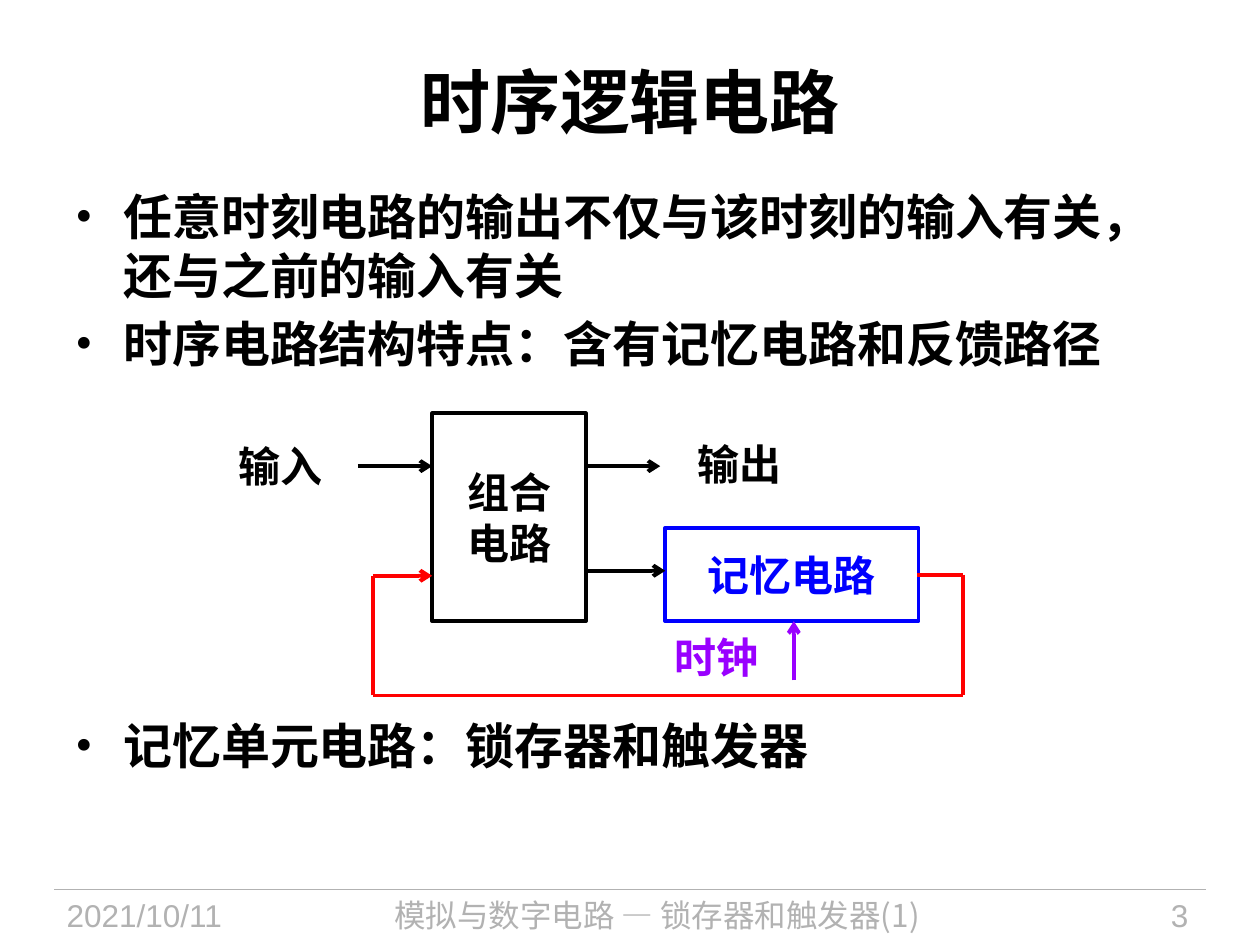
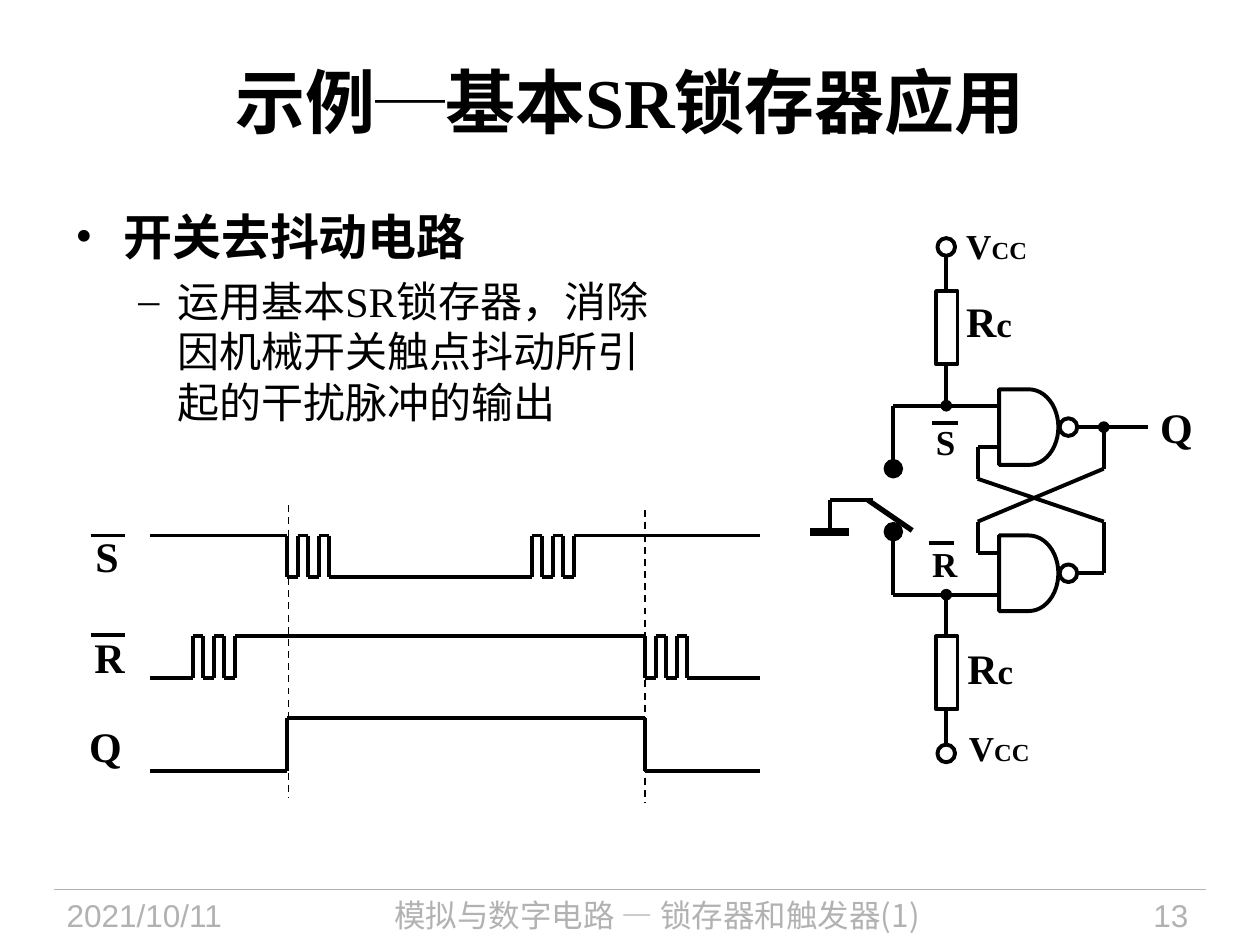
from dataclasses import dataclass
from itertools import pairwise
from typing import Any

from lxml.etree import SubElement
from pptx import Presentation
from pptx.dml.color import RGBColor
from pptx.enum.dml import MSO_LINE
from pptx.enum.shapes import MSO_CONNECTOR, MSO_SHAPE
from pptx.enum.text import MSO_ANCHOR, PP_ALIGN
from pptx.oxml.ns import qn
from pptx.util import Inches, Pt

BLACK = RGBColor(0, 0, 0)
WHITE = RGBColor(255, 255, 255)
GREY = RGBColor(0xB2, 0xB2, 0xB2)
BLUE = RGBColor(0, 0, 255)
RED = RGBColor(255, 0, 0)
PURPLE = RGBColor(0x99, 0, 255)
SERIF, SANS, CJK = "Times New Roman", "Arial", "Noto Sans CJK SC"
LEFT, CENTER, RIGHT = PP_ALIGN.LEFT, PP_ALIGN.CENTER, PP_ALIGN.RIGHT
TOP, MIDDLE = MSO_ANCHOR.TOP, MSO_ANCHOR.MIDDLE


def add_run(p, text, size, font=SERIF, color=BLACK, bold=True):
    r = p.add_run()
    r.text = text
    r.font.size = Pt(size)
    r.font.name = font
    r.font.bold = bold
    r.font.color.rgb = color
    SubElement(r.font._element, qn("a:ea"), typeface=CJK)


def set_frame(tf, anchor=TOP, wrap=True, inset=True):
    tf.word_wrap = wrap
    tf.vertical_anchor = anchor
    if not inset:
        tf.margin_left = tf.margin_right = tf.margin_top = tf.margin_bottom = 0


@dataclass
class Box:
    s: Any
    x: float
    y: float

    def wire(self, *points, color=BLACK, width=2.25, dash=False, head=None, tail=None, size="med"):
        segments = list(pairwise(points))
        for i, ((x1, y1), (x2, y2)) in enumerate(segments):
            c = self.s.shapes.add_connector(
                MSO_CONNECTOR.STRAIGHT, Inches(self.x + x1), Inches(self.y + y1),
                Inches(self.x + x2), Inches(self.y + y2))
            c.line.color.rgb = color
            c.line.width = Pt(width)
            if dash:
                c.line.dash_style = MSO_LINE.DASH
            ln = c.line._get_or_add_ln()
            if head and i == 0:
                SubElement(ln, qn("a:headEnd"), type=head, w=size, len=size)
            if tail and i == len(segments) - 1:
                SubElement(ln, qn("a:tailEnd"), type=tail, w=size, len=size)
            SubElement(c._element.spPr, qn("a:effectLst"))

    def shape(self, kind, x, y, w, h, color=BLACK, fill=None):
        sp = self.s.shapes.add_shape(kind, Inches(self.x + x), Inches(self.y + y), Inches(w), Inches(h))
        sp.shadow.inherit = False
        sp.line.color.rgb = color
        sp.line.width = Pt(2.25)
        if fill is None:
            sp.fill.background()
        else:
            sp.fill.solid()
            sp.fill.fore_color.rgb = fill
        return sp

    def terminal(self, x, y):
        self.shape(MSO_SHAPE.OVAL, x - 0.07, y - 0.07, 0.14, 0.14, fill=WHITE)

    def frame(self, x, y, w, h, **options):
        sp = self.s.shapes.add_textbox(Inches(self.x + x), Inches(self.y + y), Inches(w), Inches(h))
        set_frame(sp.text_frame, **options)
        return sp.text_frame

    def label(self, x, y, w, h, *parts):
        p = self.frame(x, y, w, h, wrap=False).paragraphs[0]
        for text, size in parts:
            add_run(p, text, size)


def add_page(prs, title, number):
    s = prs.slides.add_slide(prs.slide_layouts[6])
    box = Box(s, 0.43, 7.06)
    box.wire((0, 0), (9.14, 0), color=GREY, width=0.75)
    for x, w, text, font, align in [
        (0, 1.88, "2021/10/11", SANS, LEFT),
        (1.97, 5.63, "模拟与数字电路 — 锁存器和触发器(1)", CJK, CENTER),
        (7.77, 1.33, str(number), SANS, RIGHT),
    ]:
        p = box.frame(x, 0, w, 0.44).paragraphs[0]
        p.alignment = align
        add_run(p, text, 18, font, GREY, False)
    p = Box(s, 0.5, 0.17).frame(0, 0, 9, 1.25, anchor=MIDDLE).paragraphs[0]
    p.alignment = CENTER
    add_run(p, title, 40)
    return s


def add_bullets(s, x, y, w, h, items):
    tf = Box(s, x, y).frame(0, 0, w, h)
    for i, (text, level) in enumerate(items):
        p = tf.paragraphs[0] if i == 0 else tf.add_paragraph()
        size, margin, indent, mark = [(28, 0.38, 0.38, "•"), (24, 0.81, 0.31, "–")][level]
        p.level = level
        p.space_after = Pt(size * 0.2)
        pPr = p._p.get_or_add_pPr()
        pPr.set("marL", str(Inches(margin)))
        pPr.set("indent", str(-Inches(indent)))
        SubElement(pPr, qn("a:buFont"), typeface=SERIF)
        SubElement(pPr, qn("a:buChar"), char=mark)
        add_run(p, text, size, bold=level == 0)


def add_block_diagram(s, x, y):
    box = Box(s, x, y)
    for bx, by, w, h, lines, color in [
        (1.85, 0, 1.22, 1.65, ["组合", "电路"], BLACK),
        (3.7, 0.91, 2.01, 0.74, ["记忆电路"], BLUE),
    ]:
        tf = box.shape(MSO_SHAPE.RECTANGLE, bx, by, w, h, color).text_frame
        set_frame(tf, MIDDLE, False, False)
        for i, line in enumerate(lines):
            p = tf.paragraphs[0] if i == 0 else tf.add_paragraph()
            p.alignment = CENTER
            add_run(p, line, 24, SANS, color)
    feedback = [(5.7, 1.28), (6.06, 1.28), (6.06, 2.24), (1.38, 2.24), (1.38, 1.29), (1.85, 1.29)]
    for points, color in [
        ([(1.26, 0.42), (1.85, 0.42)], BLACK),
        ([(3.07, 0.42), (3.66, 0.42)], BLACK),
        ([(3.07, 1.25), (3.7, 1.25)], BLACK),
        (feedback, RED),
        ([(4.72, 2.12), (4.72, 1.65)], PURPLE),
    ]:
        box.wire(*points, color=color, tail="arrow")
    for lx, ly, w, text, color in [
        (0, 0.22, 1.3, "输入", BLACK),
        (3.66, 0.2, 1.26, "输出", BLACK),
        (3.58, 1.73, 1.06, "时钟", PURPLE),
    ]:
        p = box.frame(lx, ly, w, 0.4, anchor=MIDDLE, inset=False).paragraphs[0]
        p.alignment = CENTER
        add_run(p, text, 24, color=color)


def bounce(start):
    return [start + k / 12 for k in range(5)]


def add_timing(s, x, y):
    box = Box(s, x, y)
    start, end, rise, fall = 0.58, 5.42, 1.67, 4.51
    for high, low, is_high, edges in [
        (0.24, 0.57, True, bounce(rise) + bounce(3.61)),
        (1.04, 1.37, False, bounce(0.92) + bounce(fall)),
        (1.69, 2.11, False, [rise, fall]),
    ]:
        level = high if is_high else low
        points = [(start, level)]
        for edge in edges:
            points.append((edge, level))
            level = low if level == high else high
            points.append((edge, level))
        box.wire(*points, (end, level))
    for gx, gy in [(rise + 0.01, 0), (fall, 0.04)]:
        box.wire((gx, gy), (gx, gy + 2.32), width=1, dash=True)
    for lx, ly, text in [(0.05, 0.15, "S"), (0.04, 0.95, "R"), (0, 1.66, "Q")]:
        box.label(lx, ly, 0.46, 0.5, (text, 24))
    for by in (0.24, 1.03):
        box.wire((0.11, by), (0.38, by))


def add_latch_circuit(s, x, y):
    box = Box(s, x, y)
    mid, contact, rail, gate, bubble, out = 2.24, 0.66, 1.08, 1.5, 2.05, 2.33
    for side, knee in [(-1, 0.25), (1, 0.17)]:
        def at(px, d):
            return px, mid + side * d

        box.wire(at(contact, 0.25), at(contact, 0.75), at(gate, 0.75), head="oval", size="lg")
        box.wire(at(rail, 0.75), at(rail, 1.08), head="oval")
        box.shape(MSO_SHAPE.RECTANGLE, rail - 0.08, mid + side * 1.37 - 0.29, 0.17, 0.58)
        box.wire(at(rail, 1.66), at(rail, 2))
        box.terminal(*at(rail, 2.01))
        box.wire(at(2, 0.58), at(out, 0.58), at(out, knee), at(1.33, -0.17),
                 at(1.33, -0.42), at(gate, -0.42))
        box.shape(MSO_SHAPE.FLOWCHART_DELAY, gate, mid + side * 0.58 - 0.3, 0.47, 0.6, fill=WHITE)
        box.terminal(*at(bubble, 0.58))
    box.wire((out, mid - 0.58), (2.68, mid - 0.58), head="oval")
    box.wire((0.5, mid), (0.16, mid), (0.16, mid + 0.25))
    box.wire((0, mid + 0.25), (0.31, mid + 0.25), width=4.5)
    box.wire((0.46, mid), (0.81, mid + 0.24), width=3)
    for lx, ly, w, h, *parts in [
        (1.14, 0, 0.68, 0.43, ("V", 20), ("CC", 14)),
        (1.16, 3.99, 0.68, 0.43, ("V", 20), ("CC", 14)),
        (1.14, 0.57, 0.57, 0.5, ("R", 24), ("c", 20)),
        (1.15, 3.32, 0.57, 0.5, ("R", 24), ("c", 20)),
        (2.68, 1.41, 0.46, 0.5, ("Q", 24)),
        (0.9, 1.56, 0.36, 0.43, ("S", 20)),
        (0.87, 2.53, 0.4, 0.43, ("R", 20)),
    ]:
        box.label(lx, ly, w, h, *parts)
    for bx, by in [(0.97, 1.63), (0.94, 2.58)]:
        box.wire((bx, by), (bx + 0.2, by))


prs = Presentation()
prs.slide_width, prs.slide_height = Inches(10), Inches(7.5)

s = add_page(prs, "时序逻辑电路", 3)
add_bullets(s, 0.5, 1.43, 8.99, 1.7, [
    ("任意时刻电路的输出不仅与该时刻的输入有关，还与之前的输入有关", 0),
    ("时序电路结构特点：含有记忆电路和反馈路径", 0),
])
add_block_diagram(s, 1.58, 3.28)
add_bullets(s, 0.5, 5.63, 8.99, 0.7, [("记忆单元电路：锁存器和触发器", 0)])

s = add_page(prs, "示例─基本SR锁存器应用", 13)
add_bullets(s, 0.5, 1.59, 4.96, 2.39, [
    ("开关去抖动电路", 0),
    ("运用基本SR锁存器，消除因机械开关触点抖动所引起的干扰脉冲的输出", 1),
])
add_timing(s, 0.61, 4.01)
add_latch_circuit(s, 6.43, 1.73)

prs.save("out.pptx")
